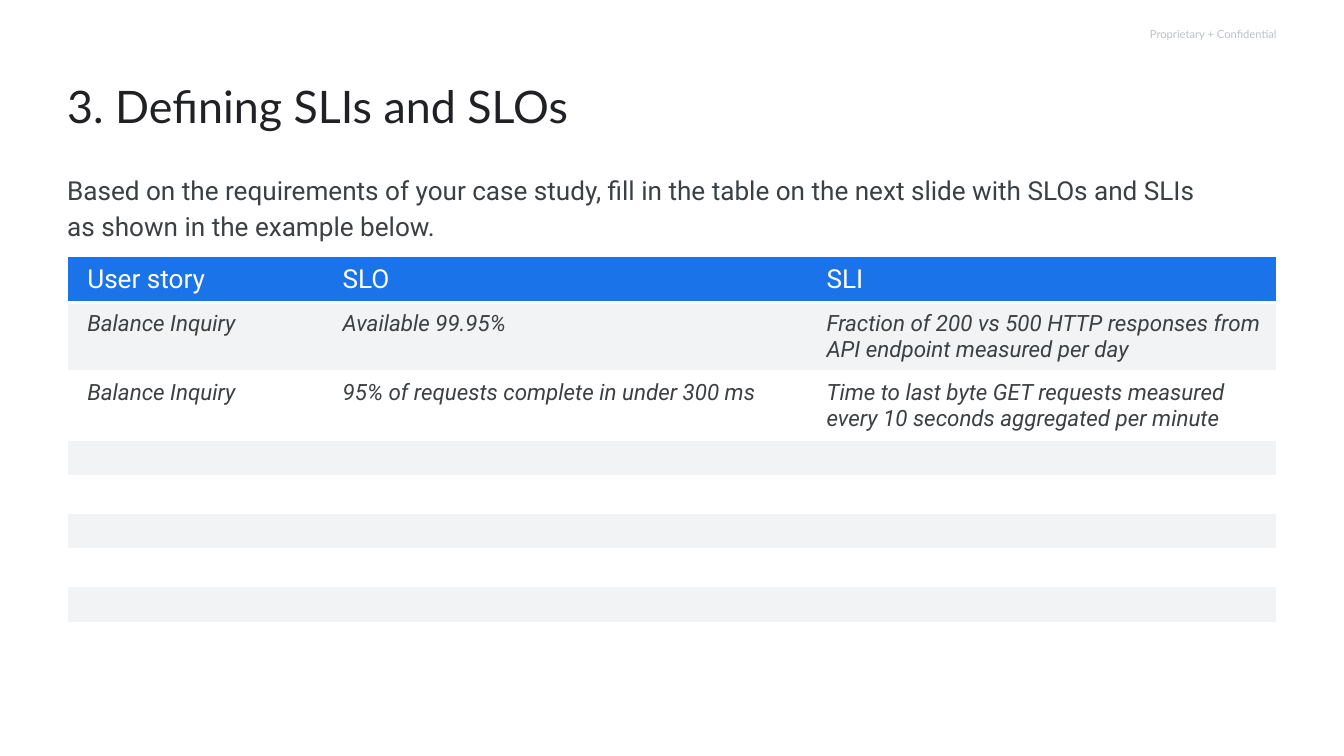
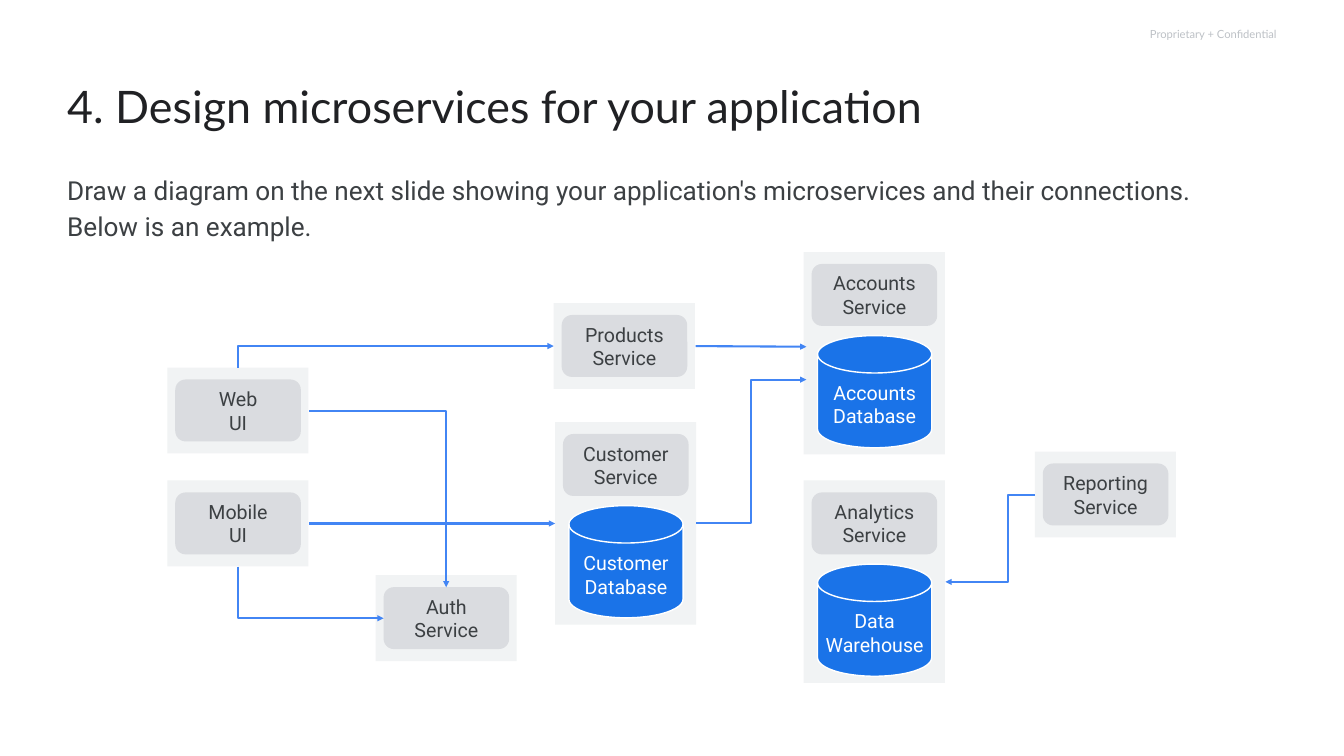
from lxml import etree
from pptx import Presentation
from pptx.dml.color import RGBColor
from pptx.enum.shapes import MSO_CONNECTOR, MSO_SHAPE
from pptx.enum.text import MSO_ANCHOR, MSO_AUTO_SIZE, PP_ALIGN
from pptx.oxml.ns import qn
from pptx.util import Pt

WHITE = RGBColor(0xFF, 0xFF, 0xFF)
INK = RGBColor(0x20, 0x21, 0x24)
TEXT = RGBColor(0x3C, 0x40, 0x43)
MUTED = RGBColor(0xBD, 0xC1, 0xC6)
PALE = RGBColor(0xF1, 0xF3, 0xF4)
GREY = RGBColor(0xDA, 0xDC, 0xE0)
BLUE = RGBColor(0x1A, 0x73, 0xE8)
ARROW_BLUE = RGBColor(0x42, 0x85, 0xF4)

HEADING_FONT, BODY_FONT = "Lato", "Roboto"
LEFT, CENTER, RIGHT = PP_ALIGN.LEFT, PP_ALIGN.CENTER, PP_ALIGN.RIGHT
TOP, MIDDLE = MSO_ANCHOR.TOP, MSO_ANCHOR.MIDDLE
RECTANGLE, ROUNDED = MSO_SHAPE.RECTANGLE, MSO_SHAPE.ROUNDED_RECTANGLE
DISK = MSO_SHAPE.FLOWCHART_MAGNETIC_DISK
STRAIGHT, ELBOW = MSO_CONNECTOR.STRAIGHT, MSO_CONNECTOR.ELBOW
NO_AUTOFIT = MSO_AUTO_SIZE.NONE

MARGIN = 72
PANEL_WIDTH, PANEL_HEIGHT, TALL_PANEL_HEIGHT = 151.2, 92, 217

COLUMN_WIDTHS = (273.6, 518.4, 504.7)
ROW_HEIGHTS = (36.7, 54.7, 54.7) + (38.9,) * 5
STORIES = (
    ("User story", "SLO", "SLI"),
    ("Balance Inquiry", "Available 99.95%",
     "Fraction of 200 vs 500 HTTP responses from API endpoint measured per day"),
    ("Balance Inquiry", "95% of requests complete in under 300 ms",
     "Time to last byte GET requests measured every 10 seconds aggregated per minute"),
)

# left, top, service, database
SERVICES = (
    (179.3, 393.8, "Web\nUI", None),
    (179.3, 514.8, "Mobile\nUI", None),
    (402.5, 616.3, "Auth\nService", None),
    (593.3, 324.7, "Products\nService", None),
    (861.1, 270, "Accounts\nService", "Accounts\nDatabase"),
    (861.1, 514.8, "Analytics\nService", "Data\nWarehouse"),
    (594.7, 452.2, "Customer\nService", "Customer\nDatabase"),
    (1108.8, 483.8, "Reporting Service", None),
)


def style_paragraph(paragraph, size, color, font=BODY_FONT, align=LEFT, italic=None):
    paragraph.alignment = align
    paragraph.font.name = font
    paragraph.font.size = Pt(size)
    paragraph.font.color.rgb = color
    paragraph.font.italic = italic


def set_frame(frame, text, anchor=TOP, insets=(0, 0, 0, 0)):
    """Fill a text frame; insets run left, top, right, bottom."""
    frame.text = text
    frame.word_wrap = True
    frame.auto_size = NO_AUTOFIT
    frame.vertical_anchor = anchor
    (frame.margin_left, frame.margin_top,
     frame.margin_right, frame.margin_bottom) = map(Pt, insets)


def add_text(slide, left, top, width, height, text, anchor=TOP):
    box = slide.shapes.add_textbox(Pt(left), Pt(top), Pt(width), Pt(height))
    set_frame(box.text_frame, text, anchor)
    return box.text_frame.paragraphs


def add_page(deck, title, title_width, intro, intro_width):
    """Add a slide with its confidentiality mark, title and introduction."""
    slide = deck.slides.add_slide(deck.slide_layouts[5])
    mark = add_text(slide, 1064.9, 0, 303.1, 72.7, "Proprietary + Confidential", MIDDLE)
    style_paragraph(mark[0], 12, MUTED, HEADING_FONT, RIGHT)

    heading = slide.shapes.title
    heading.left, heading.top = Pt(MARGIN), Pt(72.7)
    heading.width, heading.height = Pt(title_width), Pt(157.7)
    set_frame(heading.text_frame, title, insets=(0, 0, 14.4, 0))
    paragraph = heading.text_frame.paragraphs[0]
    style_paragraph(paragraph, 48, INK, HEADING_FONT)
    paragraph.line_spacing = 1.2

    paragraphs = add_text(slide, MARGIN, 182.2, intro_width, 43.6, intro)
    for paragraph in paragraphs:
        style_paragraph(paragraph, 28, TEXT)
        paragraph.line_spacing = 1.15
    paragraphs[-1].space_after = Pt(16)
    return slide


def set_borders(cell, visible_sides):
    properties = cell._tc.get_or_add_tcPr()
    for side in "LRTB":
        line = etree.SubElement(properties, qn(f"a:ln{side}"), w=str(Pt(3)))
        if side in visible_sides:
            fill = etree.SubElement(line, qn("a:solidFill"))
            etree.SubElement(fill, qn("a:srgbClr"), val=str(WHITE))
        else:
            etree.SubElement(line, qn("a:noFill"))


def fill_cell(cell, text, is_header):
    cell.text = text
    cell.vertical_anchor = MIDDLE if is_header else TOP
    cell.margin_left, cell.margin_right = Pt(21.6), Pt(7.2 if is_header else 14.4)
    cell.margin_top = cell.margin_bottom = Pt(8.6)
    paragraph = cell.text_frame.paragraphs[0]
    if is_header:
        style_paragraph(paragraph, 28, WHITE)
    else:
        style_paragraph(paragraph, 24, TEXT, italic=True)


def add_story_table(slide):
    table = slide.shapes.add_table(
        len(ROW_HEIGHTS), len(COLUMN_WIDTHS), Pt(MARGIN), Pt(274.3),
        Pt(sum(COLUMN_WIDTHS)), Pt(sum(ROW_HEIGHTS))).table
    table.first_row = table.horz_banding = False
    for column, width in zip(table.columns, COLUMN_WIDTHS):
        column.width = Pt(width)
    last_column, last_row = len(COLUMN_WIDTHS) - 1, len(ROW_HEIGHTS) - 1
    for row_index, height in enumerate(ROW_HEIGHTS):
        table.rows[row_index].height = Pt(height)
        for column_index in range(len(COLUMN_WIDTHS)):
            cell = table.cell(row_index, column_index)
            sides = "T" if row_index == last_row else "TB"
            if column_index == 0:
                sides += "L"
            if column_index == last_column:
                sides += "R"
            set_borders(cell, sides)
            if row_index == 0 or row_index % 2:
                cell.fill.solid()
                cell.fill.fore_color.rgb = PALE if row_index else BLUE
            else:
                cell.fill.background()
            if row_index < len(STORIES):
                fill_cell(cell, STORIES[row_index][column_index], row_index == 0)


def add_block(slide, kind, left, top, width, height, fill, text="", color=TEXT, inset_top=7.2):
    block = slide.shapes.add_shape(kind, Pt(left), Pt(top), Pt(width), Pt(height))
    block.shadow.inherit = False
    block.fill.solid()
    block.fill.fore_color.rgb = fill
    block.line.fill.background()
    if text:
        set_frame(block.text_frame, text, MIDDLE, (7.2, inset_top, 7.2, 7.2))
        for paragraph in block.text_frame.paragraphs:
            style_paragraph(paragraph, 21, color, align=CENTER)
    return block


def add_service(slide, left, top, service, database):
    """Add a panel holding a service and, if it has one, its database."""
    height = TALL_PANEL_HEIGHT if database else PANEL_HEIGHT
    add_block(slide, RECTANGLE, left, top, PANEL_WIDTH, height, PALE)
    add_block(slide, ROUNDED, left + 8.5, top + 12.8, 134.6, 66.4, GREY, service)
    if database:
        disk = add_block(slide, DISK, left + 14.8, top + 89.6, 122.4, 120.2,
                         BLUE, database, WHITE, 14.4)
        disk.line.color.rgb = WHITE
        disk.line.width = Pt(1.5)


def add_arrow(slide, start, end, kind=STRAIGHT):
    points = [Pt(value) for value in (*start, *end)]
    arrow = slide.shapes.add_connector(kind, *points)
    arrow.line.color.rgb = ARROW_BLUE
    arrow.line.width = Pt(2.25)
    etree.SubElement(arrow.get_or_add_ln(), qn("a:tailEnd"), type="triangle")
    etree.SubElement(arrow._element.spPr, qn("a:effectLst"))
    return arrow


def add_step_arrow(slide, start, end, bend=0.5):
    """Add an arrow that turns twice, the first time at a share of its width."""
    arrow = add_arrow(slide, start, end, ELBOW)
    geometry = arrow._element.spPr.find(qn("a:prstGeom"))
    guides = geometry.find(qn("a:avLst"))
    if guides is None:
        guides = etree.SubElement(geometry, qn("a:avLst"))
    etree.SubElement(guides, qn("a:gd"), name="adj1", fmla=f"val {round(bend * 100000)}")


def add_corner_arrow(slide, start, end, vertical_first=False):
    """Add an arrow that turns once; a quarter turn makes it leave vertically."""
    if vertical_first:
        half_x, half_y = (end[0] - start[0]) / 2, (end[1] - start[1]) / 2
        center_x, center_y = start[0] + half_x, start[1] + half_y
        start = center_x + half_y, center_y - half_x
        end = center_x - half_y, center_y + half_x
    arrow = add_arrow(slide, start, end, ELBOW)
    properties = arrow._element.spPr
    properties.find(qn("a:prstGeom")).set("prst", "bentConnector2")
    if vertical_first:
        properties.find(qn("a:xfrm")).set("rot", str(270 * 60000))


def add_service_diagram(slide):
    for service in SERVICES:
        add_service(slide, *service)
    add_arrow(slide, (331.2, 560.9), (594.7, 560.9))
    add_arrow(slide, (745.2, 370.8), (864, 371.5))
    add_corner_arrow(slide, (254.9, 393.8), (593.3, 370.8), vertical_first=True)
    add_corner_arrow(slide, (331.2, 439.9), (478.1, 629.3))
    add_corner_arrow(slide, (254.9, 607), (411.1, 662.4), vertical_first=True)
    add_step_arrow(slide, (745.9, 560.9), (864, 406.8))
    add_step_arrow(slide, (1108.8, 529.9), (1013, 623.5), bend=0.3)


def main():
    deck = Presentation()
    deck.slide_width, deck.slide_height = Pt(1440), Pt(810)
    objectives = add_page(
        deck, "3. Defining SLIs and SLOs", 859.7,
        "Based on the requirements of your case study, fill in the table on the next "
        "slide with SLOs and SLIs as shown in the example below.", 1240.6)
    add_story_table(objectives)
    microservices = add_page(
        deck, "4. Design microservices for your application", 1286.6,
        "Draw a diagram on the next slide showing your application's microservices "
        "and their connections.\nBelow is an example.", 1286.6)
    add_service_diagram(microservices)
    deck.save("out.pptx")


if __name__ == "__main__":
    main()
